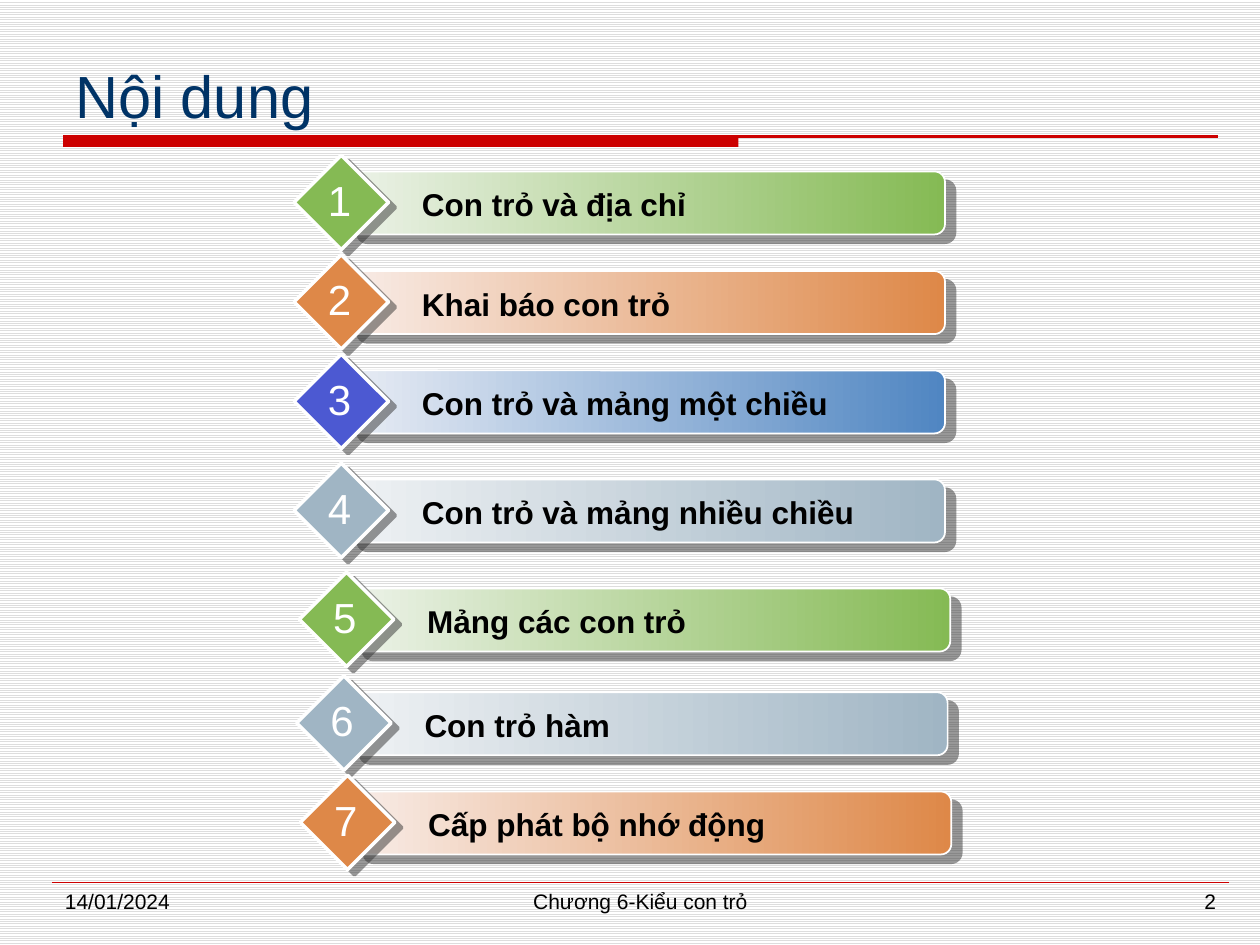
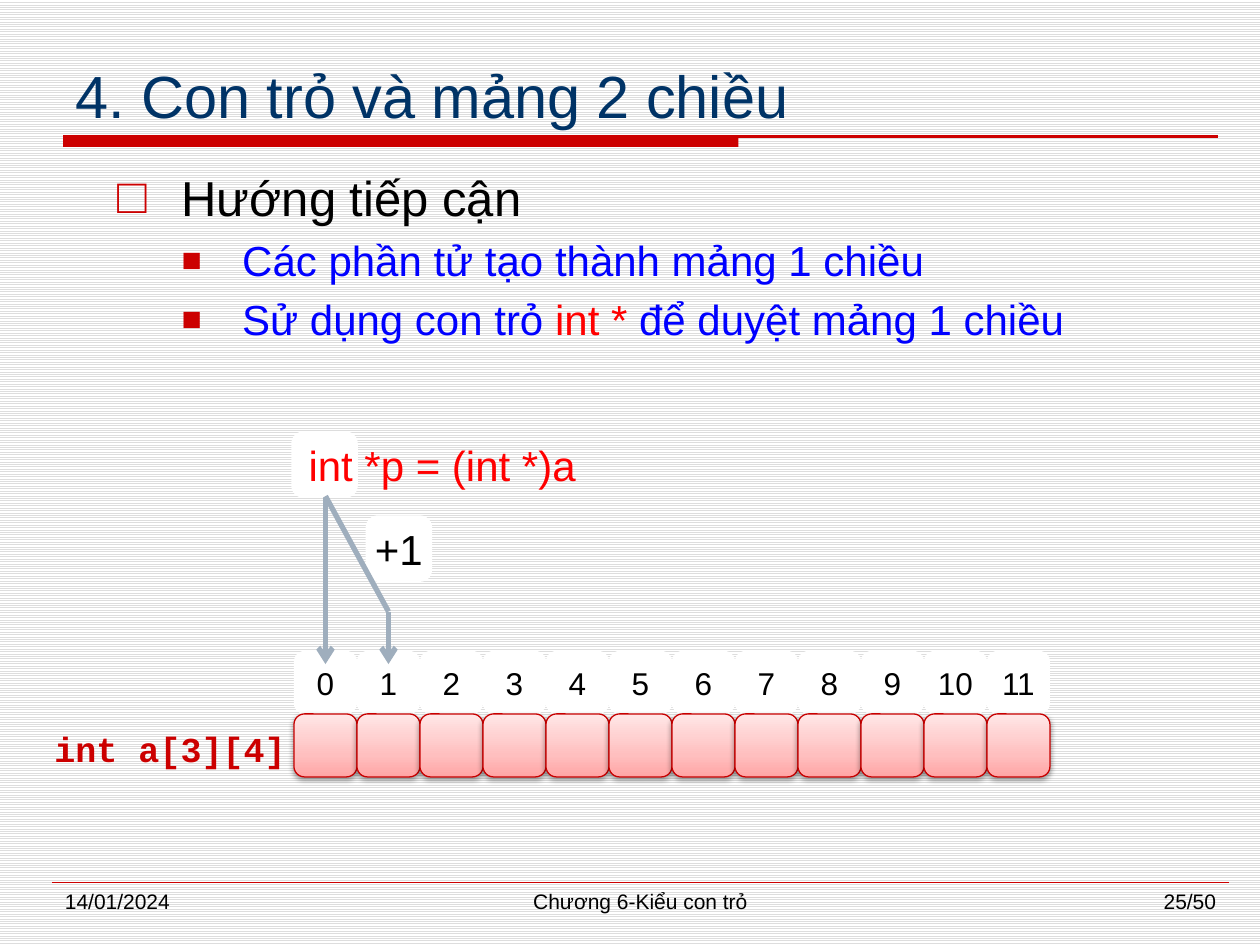
from copy import deepcopy

from lxml.etree import SubElement
from pptx import Presentation
from pptx.dml.color import RGBColor
from pptx.enum.dml import MSO_PATTERN
from pptx.enum.shapes import MSO_CONNECTOR, MSO_SHAPE
from pptx.enum.text import MSO_ANCHOR, PP_ALIGN
from pptx.oxml.ns import qn
from pptx.util import Pt

FONT, CODE_FONT = "Arial", "Courier New"
RED, NAVY, BLUE, BRIGHT_RED = "CC0000", "003366", "0000FF", "FF0000"
BLACK, WHITE, ARROW_GREY = "000000", "FFFFFF", "9FAEBD"
GREEN = ("ECF2E8", "85BA54")
ORANGE = ("F8ECE7", "DE8848")
SKY = ("E8ECF4", "5086C2")
STEEL = ("EFF2F4", "A0B5C4")
INDIGO = "4C59D2"
CELL_STOPS = ((0, "FFA5A5"), (0.35, "FFBFBF"), (1, "FFE7E7"))
DATE, CHAPTER = "14/01/2024", "Chương 6-Kiểu con trỏ"
CELL, ARRAY_LEFT, ARRAY_TOP, ARRAY_LENGTH = 36, 168, 408, 12

AGENDA = [
    ("Con trỏ và địa chỉ", GREEN, GREEN[1], 198, 98),
    ("Khai báo con trỏ", ORANGE, ORANGE[1], 198, 154.9),
    ("Con trỏ và mảng một chiều", SKY, INDIGO, 198, 211.7),
    ("Con trỏ và mảng nhiều chiều", STEEL, STEEL[1], 198, 274),
    ("Mảng các con trỏ", GREEN, GREEN[1], 201, 336.3),
    ("Con trỏ hàm", STEEL, STEEL[1], 199.5, 395.6),
    ("Cấp phát bộ nhớ động", ORANGE, ORANGE[1], 201.6, 452.3),
]
APPROACH = [
    (0, [("Hướng tiếp cận", BLACK)]),
    (1, [("Các phần tử tạo thành mảng 1 chiều", BLUE)]),
    (1, [("Sử dụng con trỏ ", BLUE), ("int * ", BRIGHT_RED), ("để duyệt mảng 1 chiều", BLUE)]),
]
BULLET_LEVELS = [
    {"size": 28, "left": 36.7, "hang": 36.7, "mark": "□", "percent": 100},
    {"size": 24, "left": 71.3, "hang": 34.6, "mark": "■", "percent": 80},
]


def color(value):
    """Turn a hex string into a colour."""
    return RGBColor.from_string(value)


def box(left, top, width, height):
    """Return a position and size in points."""
    return Pt(left), Pt(top), Pt(width), Pt(height)


def format_font(font, size, ink, name=FONT, bold=False):
    """Set the look of some text."""
    font.name, font.size, font.bold = name, Pt(size), bold
    font.color.rgb = color(ink)


def write(shape, text, size, ink, align=PP_ALIGN.LEFT, wrap=True, name=FONT, bold=False):
    """Put one formatted paragraph in a shape."""
    shape.text_frame.text = text
    shape.text_frame.word_wrap = wrap
    paragraph = shape.text_frame.paragraphs[0]
    paragraph.alignment = align
    format_font(paragraph.runs[0].font, size, ink, name, bold)


def add_text(shapes, frame, text, size, ink, **options):
    """Add a text box with one paragraph."""
    text_box = shapes.add_textbox(*box(*frame))
    write(text_box, text, size, ink, **options)
    return text_box


def add_shape(shapes, kind, frame, fill=None, line=None, weight=1):
    """Add a preset shape without a shadow."""
    shape = shapes.add_shape(kind, *box(*frame))
    shape.shadow.inherit = False
    if fill:
        shape.fill.solid()
        shape.fill.fore_color.rgb = color(fill)
    if line:
        shape.line.color.rgb = color(line)
        shape.line.width = Pt(weight)
    else:
        shape.line.fill.background()
    return shape


def add_gradient(shape, stops, angle):
    """Fill a shape with a linear gradient."""
    shape.fill.gradient()
    shape.fill.gradient_angle = angle
    stop_list = shape._element.spPr.find(".//" + qn("a:gsLst"))
    for _ in stops[2:]:
        stop_list.append(deepcopy(stop_list[0]))
    for stop, (position, value) in zip(shape.fill.gradient_stops, stops):
        stop.position = position
        stop.color.rgb = color(value)


def add_shadow(shape, value, opacity, blur, distance, direction):
    """Give a shape an outer shadow."""
    effects = shape._element.spPr.find(qn("a:effectLst"))
    shadow = SubElement(effects, qn("a:outerShdw"), blurRad=str(Pt(blur)),
                        dist=str(Pt(distance)), dir=str(direction * 60000),
                        algn="ctr", rotWithShape="0")
    tint = SubElement(shadow, qn("a:srgbClr"), val=value)
    SubElement(tint, qn("a:alpha"), val=str(opacity * 1000))


def add_line(shapes, start, end, ink, weight, arrow=False):
    """Add a straight line, with an arrowhead at its end if asked."""
    line = shapes.add_connector(MSO_CONNECTOR.STRAIGHT, *map(Pt, start + end))
    line.line.color.rgb = color(ink)
    line.line.width = Pt(weight)
    if arrow:
        SubElement(line.line._get_or_add_ln(), qn("a:tailEnd"), type="arrow")
    SubElement(line._element.spPr, qn("a:effectLst"))


def add_bullet(paragraph, left, hang, mark, percent):
    """Give a paragraph a hanging red bullet."""
    properties = paragraph._p.get_or_add_pPr()
    properties.set("marL", str(Pt(left)))
    properties.set("indent", str(-Pt(hang)))
    tint = SubElement(properties, qn("a:buClr"))
    SubElement(tint, qn("a:srgbClr"), val=RED)
    SubElement(properties, qn("a:buSzPct"), val=str(percent * 1000))
    SubElement(properties, qn("a:buFont"), typeface=FONT)
    SubElement(properties, qn("a:buChar"), char=mark)


def add_bullets(shapes, frame, items):
    """Add a bulleted list with coloured runs."""
    text_frame = shapes.add_textbox(*box(*frame)).text_frame
    text_frame.word_wrap = True
    for index, (level, parts) in enumerate(items):
        paragraph = text_frame.add_paragraph() if index else text_frame.paragraphs[0]
        look = BULLET_LEVELS[level]
        paragraph.level = level
        paragraph.alignment = PP_ALIGN.JUSTIFY
        add_bullet(paragraph, look["left"], look["hang"], look["mark"], look["percent"])
        if index:
            paragraph.space_before = Pt(5)
        for text, ink in parts:
            run = paragraph.add_run()
            run.text = text
            format_font(run.font, look["size"], ink)


def set_background(presentation):
    """Cover the master with light horizontal stripes."""
    fill = presentation.slide_master.background.fill
    fill.patterned()
    fill.pattern = MSO_PATTERN.LIGHT_HORIZONTAL
    fill.fore_color.rgb = color("DDDDDD")
    fill.back_color.rgb = color(WHITE)


def add_slide(presentation, title, number):
    """Add a slide with title, red band and footer, and return its shapes."""
    shapes = presentation.slides.add_slide(presentation.slide_layouts[6]).shapes
    add_shape(shapes, MSO_SHAPE.RECTANGLE, (36, 78, 386, 6), RED)
    add_line(shapes, (36, 78), (696, 78), RED, 1.5)
    add_line(shapes, (30, 504), (702, 504), RED, 0.25)
    heading = add_text(shapes, (36, 24, 660, 54), title, 34, NAVY)
    heading.text_frame.vertical_anchor = MSO_ANCHOR.BOTTOM
    add_text(shapes, (30, 504, 156, 25), DATE, 12, BLACK)
    add_text(shapes, (210, 504, 312, 25), CHAPTER, 12, BLACK, align=PP_ALIGN.CENTER)
    add_text(shapes, (546, 504, 156, 25), number, 12, BLACK, align=PP_ALIGN.RIGHT)
    return shapes


def add_agenda_item(shapes, number, text, shades, diamond_fill, left, top):
    """Add a grouped agenda bar with its numbered diamond."""
    group = shapes.add_group_shape().shapes
    bar = add_shape(group, MSO_SHAPE.ROUNDED_RECTANGLE, (left, top, 342, 36), line=WHITE)
    add_gradient(bar, list(enumerate(shades)), 0)
    add_shadow(bar, "333333", 50, 0, 7.8, 40)
    diamond = add_shape(group, MSO_SHAPE.DIAMOND, (left - 30, top - 9.4, 54, 54),
                        diamond_fill, WHITE, 2)
    add_shadow(diamond, "333333", 50, 0, 5, 37)
    add_text(group, (left + 36, top + 4.3, 306, 29), text, 18, BLACK, bold=True)
    add_text(group, (left - 18, top - 2, 28, 36), str(number), 24, WHITE,
             align=PP_ALIGN.CENTER, wrap=False)


def add_label(shapes, frame, text, size, ink=BLACK, line=None, align=PP_ALIGN.CENTER):
    """Add a white rounded box with a label."""
    label = add_shape(shapes, MSO_SHAPE.ROUNDED_RECTANGLE, frame, WHITE, line, 2)
    write(label, text, size, ink, align=align, wrap=False)


def add_array(shapes):
    """Add the array cells with their indexes above."""
    lefts = [ARRAY_LEFT + CELL * index for index in range(ARRAY_LENGTH)]
    for index, left in enumerate(lefts):
        add_label(shapes, (left, ARRAY_TOP - CELL, CELL, CELL), str(index), 18)
    for left in lefts:
        cell = add_shape(shapes, MSO_SHAPE.ROUNDED_RECTANGLE, (left, ARRAY_TOP, CELL, CELL),
                         line="C80000", weight=0.75)
        add_gradient(cell, CELL_STOPS, 90)
        add_shadow(cell, BLACK, 38, 3.1, 1.6, 90)
    add_text(shapes, (24, 412, 168, 31.5), "int a[3][4]", 20, RED, name=CODE_FONT, bold=True)


def add_pointer(shapes):
    """Add the pointer, its step and the arrows to the first two cells."""
    first = ARRAY_LEFT + CELL / 2
    second = first + CELL
    add_line(shapes, (first, 283.5), (first, 379.5), ARROW_GREY, 3, arrow=True)
    add_label(shapes, (167.5, 247.5, CELL, CELL), "int *p = (int *)a", 24, BRIGHT_RED, WHITE,
              PP_ALIGN.LEFT)
    add_line(shapes, (second, 349.5), (second, 379.5), ARROW_GREY, 3, arrow=True)
    add_label(shapes, (210, 295.5, CELL, CELL), "+1", 24, line=WHITE)
    add_line(shapes, (first, 283.5), (second, 349.5), ARROW_GREY, 3)


def main():
    """Build and save the presentation."""
    presentation = Presentation()
    presentation.slide_width, presentation.slide_height = Pt(720), Pt(540)
    set_background(presentation)

    agenda = add_slide(presentation, "Nội dung", "2")
    for number, item in enumerate(AGENDA, 1):
        add_agenda_item(agenda, number, *item)

    matrix = add_slide(presentation, "4. Con trỏ và mảng 2 chiều", "25/50")
    add_bullets(matrix, (60, 92, 624, 406), APPROACH)
    add_array(matrix)
    add_pointer(matrix)

    presentation.save("out.pptx")


if __name__ == "__main__":
    main()
